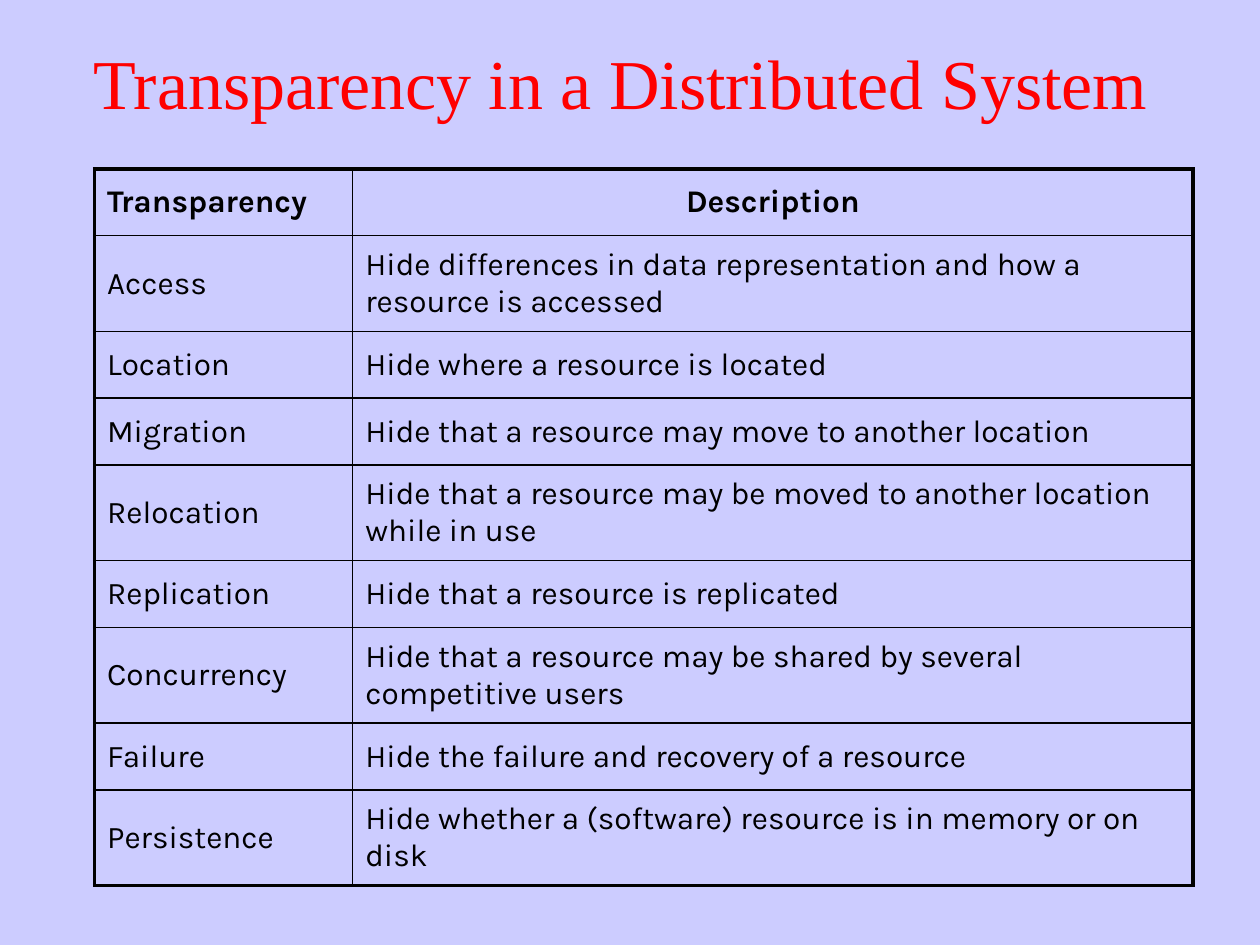
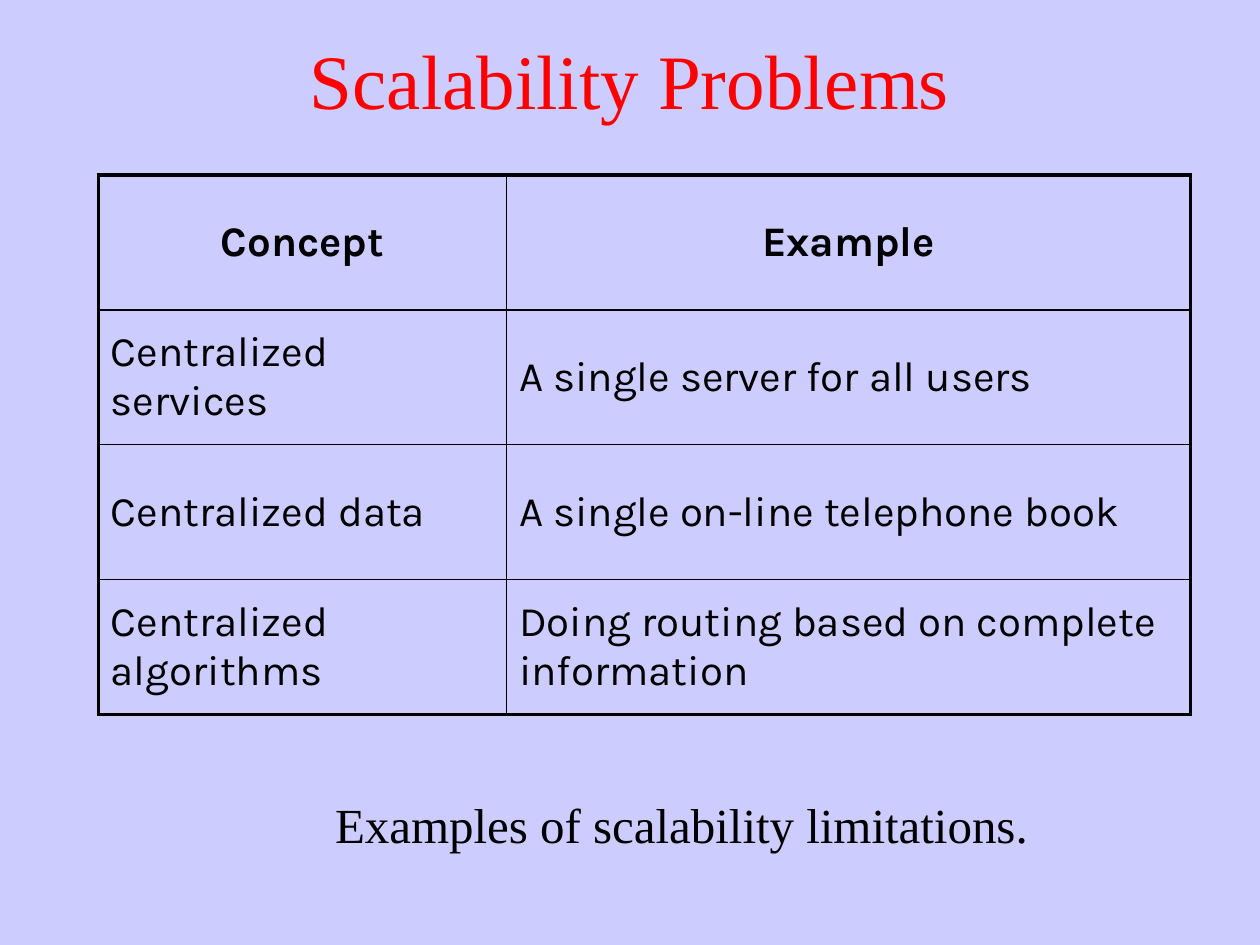
from lxml import etree
from pptx import Presentation
from pptx import util as u
from pptx.dml.color import RGBColor
from pptx.enum import text
from pptx.oxml import ns

COLORS = {"background": "CCCCFF", "title": "FF0000", "ink": "000000"}
SERIF, SANS = "Times New Roman", "Karla"
THICK, THIN = 2.25, 1

TRANSPARENCY = [
    ("Transparency", "Description"),
    ("Access", "Hide differences in data representation and how a resource is accessed"),
    ("Location", "Hide where a resource is located"),
    ("Migration", "Hide that a resource may move to another location"),
    ("Relocation", "Hide that a resource may be moved to another location while in use"),
    ("Replication", "Hide that a resource is replicated"),
    ("Concurrency", "Hide that a resource may be shared by several competitive users"),
    ("Failure", "Hide the failure and recovery of a resource"),
    ("Persistence", "Hide whether a (software) resource is in memory or on disk"),
]
SCALABILITY = [
    ("Concept", "Example"),
    ("Centralized services", "A single server for all users"),
    ("Centralized data", "A single on-line telephone book"),
    ("Centralized algorithms", "Doing routing based on complete information"),
]


def set_attrs(obj, values):
    for name, value in values.items():
        setattr(obj, name, value)


def inches(*lengths):
    return [u.Inches(length) for length in lengths]


def write(tf, words, size, font=SERIF, color="ink", bold=False, center=True):
    p = tf.paragraphs[0]
    p.alignment = text.PP_ALIGN.CENTER if center else text.PP_ALIGN.LEFT
    r = p.add_run()
    r.text = words
    set_attrs(r.font, {"name": font, "size": u.Pt(size), "bold": bold})
    r.font.color.rgb = RGBColor.from_string(COLORS[color])


def add_titled_slide(prs, title, size, box):
    s = prs.slides.add_slide(prs.slide_layouts.get_by_name("Title Only"))
    sp = s.shapes.title
    set_attrs(sp, dict(zip(("left", "top", "width", "height"), inches(*box))))
    set_attrs(sp.text_frame, {
        "auto_size": text.MSO_AUTO_SIZE.NONE,
        "vertical_anchor": text.MSO_ANCHOR.MIDDLE,
        "word_wrap": True,
    })
    write(sp.text_frame, title, size, color="title")
    return s


def add_caption(s, words, box):
    tf = s.shapes.add_textbox(*inches(*box)).text_frame
    tf.word_wrap = True
    write(tf, words, 28)


def set_border(cell, side, width):
    tc_pr = cell._tc.get_or_add_tcPr()
    ln = etree.SubElement(tc_pr, ns.qn("a:ln" + side), w=str(u.Pt(width)))
    fill = etree.SubElement(ln, ns.qn("a:solidFill"))
    etree.SubElement(fill, ns.qn("a:srgbClr"), val=COLORS["ink"])


def add_grid(s, rows, left, top, widths, heights, size, centered_headers):
    shape = s.shapes.add_table(len(rows), len(widths),
                               *inches(left, top, sum(widths), sum(heights)))
    table = shape.table
    set_attrs(table, {"first_row": False, "horz_banding": False})
    for column, width in zip(table.columns, widths):
        column.width = u.Inches(width)
    for row, height in zip(table.rows, heights):
        row.height = u.Inches(height)
    last_row, last_col = len(rows) - 1, len(widths) - 1
    for i, row in enumerate(rows):
        for j, words in enumerate(row):
            cell = table.cell(i, j)
            outer = {"L": j == 0, "R": j == last_col, "T": i == 0, "B": i == last_row}
            for side, is_outer in outer.items():
                set_border(cell, side, THICK if is_outer else THIN)
            cell.fill.background()
            cell.vertical_anchor = text.MSO_ANCHOR.MIDDLE
            write(cell.text_frame, words, size, SANS, bold=i == 0,
                  center=i == 0 and j in centered_headers)


def main():
    prs = Presentation()
    set_attrs(prs, {"slide_width": u.Inches(10), "slide_height": u.Inches(7.5)})
    fill = prs.slide_master.background.fill
    fill.solid()
    fill.fore_color.rgb = RGBColor.from_string(COLORS["background"])

    s = add_titled_slide(prs, "Transparency in a Distributed System", 40,
                         (0.19, 0.15, 9.47, 0.99))
    one_line, two_lines = 0.53, 0.76
    heights = [two_lines if len(row[1]) > 50 else one_line for row in TRANSPARENCY]
    add_grid(s, TRANSPARENCY, 0.75, 1.34, (2.05, 6.67), heights, 18, {1})

    s = add_titled_slide(prs, "Scalability Problems", 44, (0, 0, 10, 1.25))
    add_caption(s, "Examples of scalability limitations.", (2.28, 6.26, 6.26, 0.57))
    add_grid(s, SCALABILITY, 0.78, 1.39, (3.24, 5.43),
             [1.07] * len(SCALABILITY), 24, {0, 1})

    prs.save("out.pptx")


if __name__ == "__main__":
    main()
